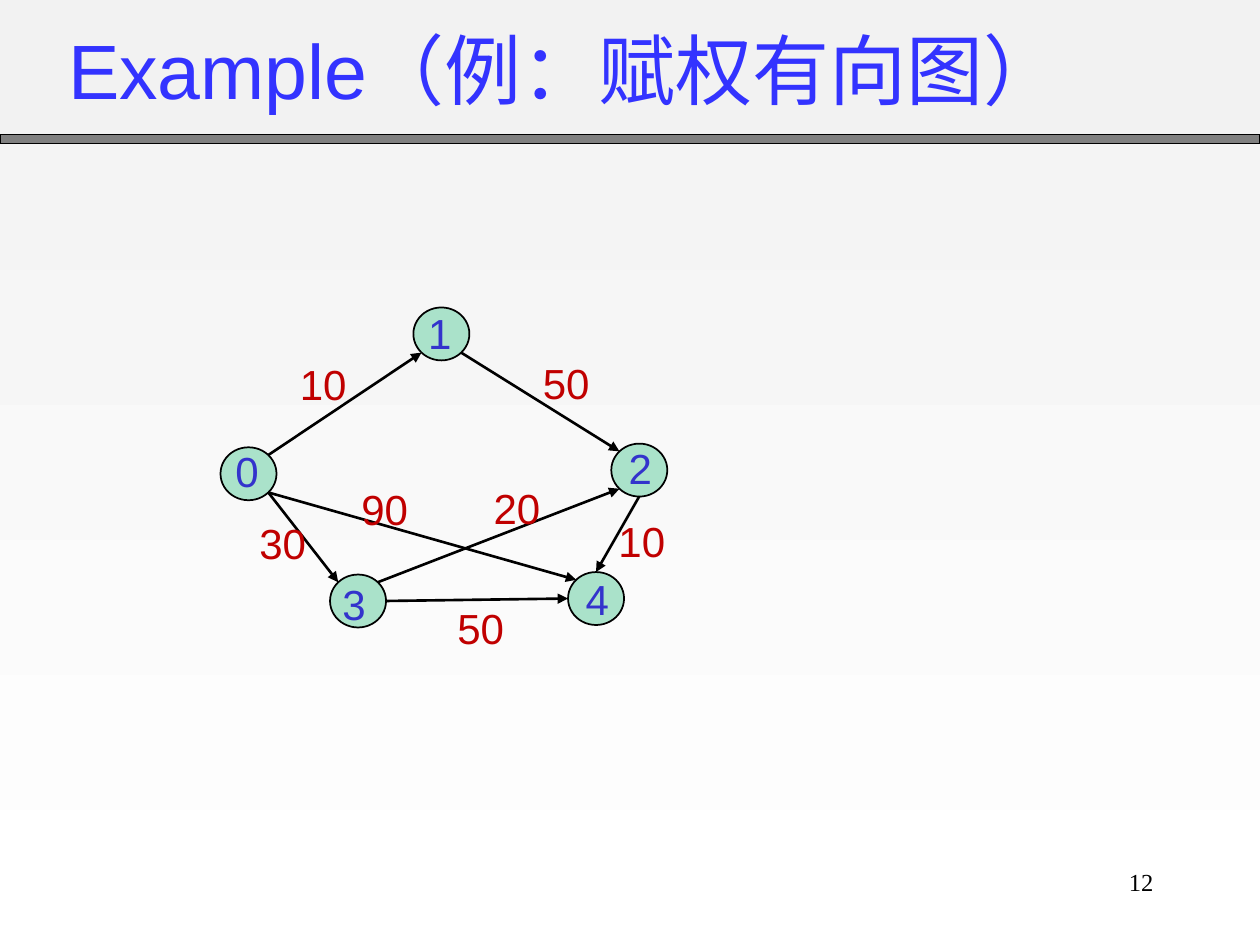
"""Build a slide showing a weighted directed graph."""
from dataclasses import dataclass
from math import cos, radians, sin

from lxml import etree
from pptx import Presentation
from pptx.dml.color import RGBColor
from pptx.enum import shapes, text
from pptx.oxml import ns
from pptx.util import Pt

BLACK = "000000"
NODE_WIDTH, NODE_HEIGHT = 32, 30.24
EAST, SE, SOUTH, SW, WEST, NW, NORTH, NE = range(0, 360, 45)


@dataclass(frozen=True)
class Node:
    left: float
    top: float
    label_left: float
    label_top: float

    def site(self, angle: int) -> tuple[float, float]:
        return (self.left + NODE_WIDTH / 2 * (1 + cos(radians(angle))),
                self.top + NODE_HEIGHT / 2 * (1 + sin(radians(angle))))


@dataclass(frozen=True)
class Edge:
    start: int
    start_angle: int
    end: int
    end_angle: int
    weight: int
    weight_left: float
    weight_top: float


NODES = [
    Node(126, 255.6, 127.4, 251.3),
    Node(236.2, 175.7, 237.6, 172.1),
    Node(349.3, 253.5, 352.1, 249.1),
    Node(188.6, 328.3, 188.6, 326.9),
    Node(324.6, 326.9, 327.6, 324),
]
EDGES = [
    Edge(0, NE, 1, SW, 10, 164.2, 201.6),
    Edge(1, SE, 2, NW, 50, 303.1, 200.9),
    Edge(0, SE, 3, NW, 30, 141.1, 292.3),
    Edge(3, EAST, 4, WEST, 50, 254.2, 340.6),
    Edge(0, SE, 4, NW, 90, 199.4, 272.9),
    Edge(3, NE, 2, SW, 20, 275, 272.2),
    Edge(2, SOUTH, 4, NORTH, 10, 346.3, 290.9),
]


def rgb(value: str) -> RGBColor:
    return RGBColor.from_string(value)


def write(holder, words: str, *, size: float, color: str, font: str = "Arial",
          align=text.PP_ALIGN.LEFT, anchor=text.MSO_ANCHOR.TOP) -> None:
    frame = holder.text_frame
    frame.word_wrap = True
    frame.auto_size = text.MSO_AUTO_SIZE.NONE
    frame.vertical_anchor = anchor
    paragraph = frame.paragraphs[0]
    paragraph.alignment = align
    run = paragraph.add_run()
    run.text = words
    run.font.size = Pt(size)
    run.font.name = font
    run.font.color.rgb = rgb(color)


def add_text(slide, words: str, left: float, top: float, width: float,
             height: float, **style) -> None:
    box = slide.shapes.add_textbox(Pt(left), Pt(top), Pt(width), Pt(height))
    write(box, words, **style)


def add_outlined(slide, kind, left: float, top: float, width: float,
                 height: float, fill: str, line_width: float) -> None:
    shape = slide.shapes.add_shape(kind, Pt(left), Pt(top), Pt(width), Pt(height))
    shape.shadow.inherit = False
    shape.fill.solid()
    shape.fill.fore_color.rgb = rgb(fill)
    shape.line.color.rgb = rgb(BLACK)
    shape.line.width = Pt(line_width)


def add_arrow(slide, edge: Edge) -> None:
    start = NODES[edge.start].site(edge.start_angle)
    end = NODES[edge.end].site(edge.end_angle)
    arrow = slide.shapes.add_connector(
        shapes.MSO_CONNECTOR.STRAIGHT, *(Pt(value) for value in start + end))
    arrow.line.color.rgb = rgb(BLACK)
    arrow.line.width = Pt(1.5)
    line = arrow.line._get_or_add_ln()
    etree.SubElement(line, ns.qn("a:tailEnd"), type="triangle")
    etree.SubElement(arrow._element.spPr, ns.qn("a:effectLst"))


def set_background(slide, top_color: str, bottom_color: str) -> None:
    fill = slide.background.fill
    fill.gradient()
    fill.gradient_angle = 270
    for stop, color, position in zip(
            fill.gradient_stops, (top_color, bottom_color), (0, 1)):
        stop.color.rgb = rgb(color)
        stop.position = position


def add_title(slide, words: str) -> None:
    title = slide.shapes.title
    title.left, title.top = Pt(31.7), Pt(7.2)
    title.width, title.height = Pt(612), Pt(64)
    write(title, words, size=44, color="3333FF", anchor=text.MSO_ANCHOR.MIDDLE)


def main() -> None:
    deck = Presentation()
    deck.slide_width, deck.slide_height = Pt(720), Pt(540)
    slide = deck.slides.add_slide(deck.slide_layouts[5])
    set_background(slide, "F2F2F2", "FFFFFF")
    add_outlined(slide, shapes.MSO_SHAPE.RECTANGLE, 0, 77, 720, 5, "808080", 0.75)
    add_title(slide, "Example（例：赋权有向图）")
    add_text(slide, "12", 516.2, 491.8, 150, 36, size=14, color=BLACK,
             font="Times New Roman", align=text.PP_ALIGN.RIGHT)
    for node in NODES:
        add_outlined(slide, shapes.MSO_SHAPE.OVAL, node.left, node.top,
                     NODE_WIDTH, NODE_HEIGHT, "AAE2CA", 1)
    for edge in EDGES:
        add_arrow(slide, edge)
    for number, node in enumerate(NODES):
        add_text(slide, str(number), node.label_left, node.label_top, 39.6, 36.4,
                 size=24, color="3333CC")
    for edge in EDGES:
        add_text(slide, str(edge.weight), edge.weight_left, edge.weight_top,
                 61.2, 36.4, size=24, color="C00000")
    deck.save("out.pptx")


if __name__ == "__main__":
    main()
